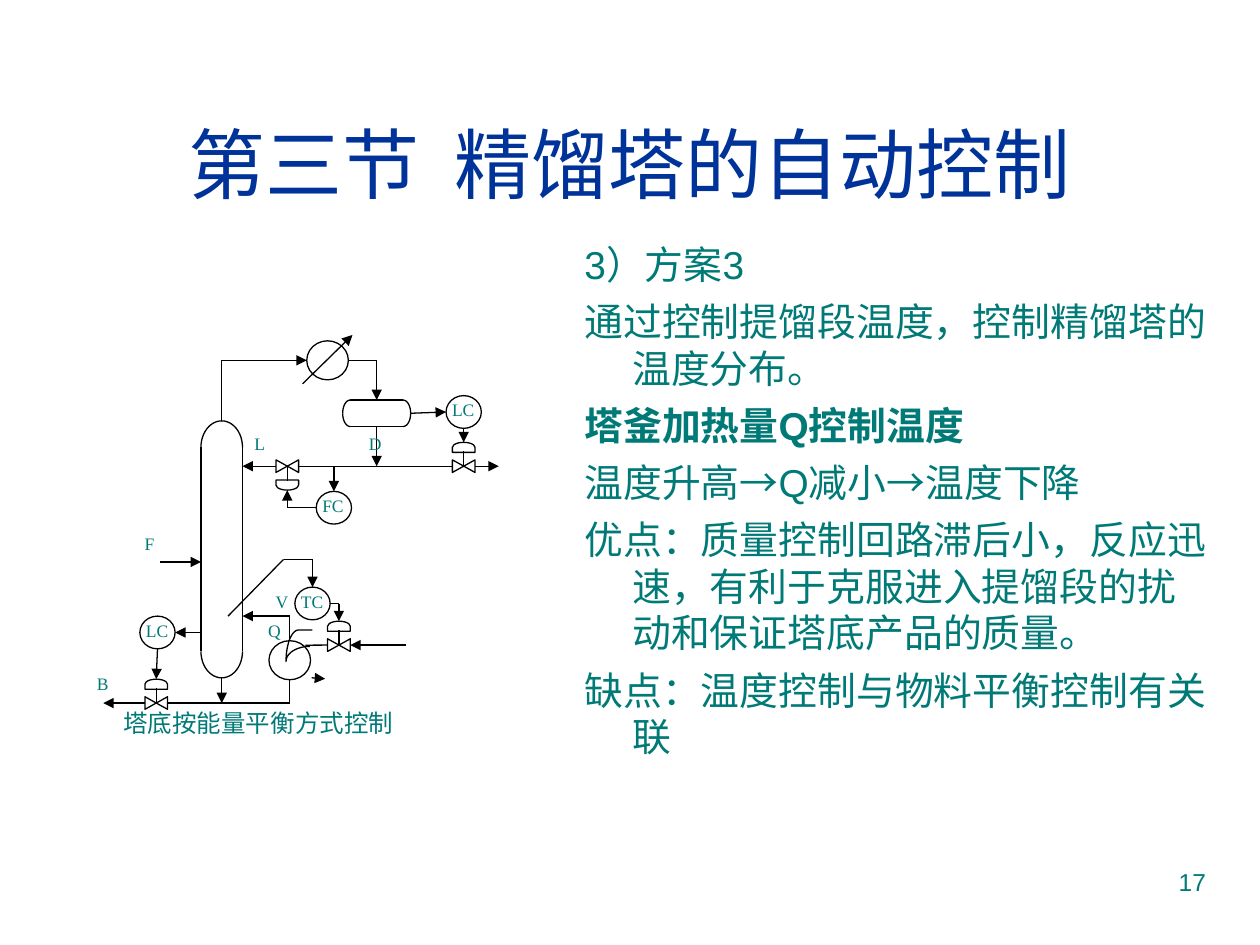
"""Build the slide on distillation column control, scheme 3."""
import dataclasses
import math
import pptx
import pptx.util
import pptx.dml.color
import pptx.enum.shapes
import pptx.enum.text
import pptx.oxml.ns
import lxml.etree

Inches, Pt = pptx.util.Inches, pptx.util.Pt
RGBColor = pptx.dml.color.RGBColor
MSO_SHAPE = pptx.enum.shapes.MSO_SHAPE
PP_ALIGN = pptx.enum.text.PP_ALIGN
qn = pptx.oxml.ns.qn

NAVY = RGBColor(0x00, 0x33, 0x99)
TEAL = RGBColor(0x00, 0x7A, 0x77)
BLACK = RGBColor(0, 0, 0)
WHITE = RGBColor(255, 255, 255)
SERIF = "Times New Roman"


@dataclasses.dataclass
class Box:
    """A part of the plant, placed by its centre."""
    cx: float
    cy: float
    w: float
    h: float

    def at(self, dx, dy):
        return self.cx + dx * self.w / 2, self.cy + dy * self.h / 2

    left = property(lambda self: self.at(-1, 0))
    right = property(lambda self: self.at(1, 0))
    top = property(lambda self: self.at(0, -1))
    bottom = property(lambda self: self.at(0, 1))


TITLE = "第三节  精馏塔的自动控制"
BODY = [
    ("3）方案3", False),
    ("通过控制提馏段温度，控制精馏塔的温度分布。", False),
    ("塔釜加热量Q控制温度", True),
    ("温度升高→Q减小→温度下降", False),
    ("优点：质量控制回路滞后小，反应迅速，有利于克服进入提馏段的扰动和保证塔底产品的质量。", False),
    ("缺点：温度控制与物料平衡控制有关联", False),
]
CAPTION = "塔底按能量平衡方式控制"
STREAMS = [("F", 1.05, 4.18), ("L", 1.92, 3.39), ("D", 2.83, 3.39),
           ("B", 0.67, 5.29), ("Q", 2.03, 4.87), ("V", 2.09, 4.64)]

UP, DOWN = -1, 1
FEED_Y, REFLUX_Y, VAPOUR_Y, BOTTOMS_Y, TAP_Y = 4.46, 3.7, 4.89, 5.58, 4.44
COLUMN = Box(1.76, 4.36, 0.33, 2.04)
DRUM = Box(2.99, 3.28, 0.54, 0.21)
CONDENSER = Box(2.6, 2.86, 0.33, 0.31)
REBOILER = Box(2.3, 5.24, 0.33, 0.31)
DRUM_LC, REFLUX_FC, TRAY_TC, SUMP_LC = [
    Box(cx, cy, 0.28, 0.26)
    for cx, cy in [(3.68, 3.27), (2.65, 4.03), (2.48, 4.79), (1.25, 5.02)]]
INSTRUMENTS = [("LC", DRUM_LC), ("FC", REFLUX_FC), ("TC", TRAY_TC), ("LC", SUMP_LC)]
DISTILLATE, REFLUX, STEAM, BOTTOMS = [
    Box(cx, cy, 0.18, 0.1)
    for cx, cy in [(3.68, REFLUX_Y), (2.28, REFLUX_Y), (2.69, 5.12), (1.24, BOTTOMS_Y)]]
VALVES = [(DISTILLATE, UP), (REFLUX, DOWN), (STEAM, UP), (BOTTOMS, UP)]


def actuator(valve, side):
    return Box(valve.cx, valve.cy + side * 0.15, 0.18, 0.08)


FLOWS = [
    [COLUMN.top, (COLUMN.cx, CONDENSER.cy), CONDENSER.left],
    [CONDENSER.right, (DRUM.cx, CONDENSER.cy), DRUM.top],
    [CONDENSER.at(-1.2, 1.2), CONDENSER.at(1.2, -1.3)],
    [DRUM.bottom, (DRUM.cx, REFLUX_Y)],
    [REFLUX.left, (COLUMN.right[0], REFLUX_Y)],
    [DISTILLATE.right, DISTILLATE.at(3.1, 0)],
    [(1.27, FEED_Y), (COLUMN.left[0], FEED_Y)],
    [COLUMN.bottom, (COLUMN.cx, BOTTOMS_Y)],
    [BOTTOMS.left, (0.82, BOTTOMS_Y)],
    [REBOILER.top, (REBOILER.cx, VAPOUR_Y), (COLUMN.right[0], VAPOUR_Y)],
    [STEAM.at(5.9, 0), STEAM.right],
    [REBOILER.at(1.05, 0.9), REBOILER.at(1.7, 0.95)],
]
SIGNALS = [
    [DRUM.right, DRUM_LC.left],
    [DRUM_LC.bottom, actuator(DISTILLATE, UP).top],
    [(REFLUX_FC.cx, REFLUX_Y), REFLUX_FC.top],
    [REFLUX_FC.left, (REFLUX.cx, REFLUX_FC.cy), actuator(REFLUX, DOWN).bottom],
    [(1.81, VAPOUR_Y), (2.25, TAP_Y), (TRAY_TC.cx, TAP_Y), TRAY_TC.top],
    [TRAY_TC.right, (STEAM.cx, TRAY_TC.cy), actuator(STEAM, UP).top],
    [(COLUMN.left[0], SUMP_LC.cy), SUMP_LC.right],
    [SUMP_LC.bottom, actuator(BOTTOMS, UP).top],
]
PLAIN_PIPES = [
    [REFLUX.right, DISTILLATE.left],
    [REBOILER.bottom, (REBOILER.cx, BOTTOMS_Y), BOTTOMS.right],
    [STEAM.left, REBOILER.at(0.75, -0.77)],
]


def add_run(p, text, size, font="Arial", color=TEAL, bold=False):
    r = p.add_run()
    r.text = text
    r.font.size, r.font.name, r.font.bold = Pt(size), font, bold
    r.font.color.rgb = color


def add_box(s, x, y, w, h):
    tf = s.shapes.add_textbox(Inches(x), Inches(y), Inches(w), Inches(h)).text_frame
    tf.word_wrap = True
    return tf


def add_text(s, text, x, y, w=0.5, h=0.34, size=10, font=SERIF, align=PP_ALIGN.JUSTIFY):
    p = add_box(s, x, y, w, h).paragraphs[0]
    p.alignment = align
    add_run(p, text, size, font)


def outline(sp):
    sp.shadow.inherit = False
    sp.line.color.rgb, sp.line.width = BLACK, Pt(0.75)


def add_part(s, kind, box, turn=0):
    w, h = (box.h, box.w) if turn else (box.w, box.h)
    sp = s.shapes.add_shape(kind, Inches(box.cx - w / 2), Inches(box.cy - h / 2),
                            Inches(w), Inches(h))
    sp.rotation = turn
    sp.fill.solid()
    sp.fill.fore_color.rgb = WHITE
    outline(sp)


def add_route(s, points, arrow=True):
    for start, end in zip(points, points[1:]):
        c = s.shapes.add_connector(pptx.enum.shapes.MSO_CONNECTOR.STRAIGHT,
                                   *[Inches(v) for v in start + end])
        c.line.color.rgb, c.line.width = BLACK, Pt(0.75)
        lxml.etree.SubElement(c._element.spPr, qn("a:effectLst"))
    if arrow:
        lxml.etree.SubElement(c.line._get_or_add_ln(), qn("a:tailEnd"), type="triangle")


def add_valve(s, valve, side):
    add_part(s, MSO_SHAPE.FLOWCHART_COLLATE, valve, 90)
    add_part(s, MSO_SHAPE.FLOWCHART_DELAY, actuator(valve, side), side * 90 % 360)
    add_route(s, [(valve.cx, valve.cy), (valve.cx, valve.cy + side * 0.12)], arrow=False)


def arc(cx, cy, rx, ry, start, end, steps=12):
    angles = [math.radians(start + (end - start) * i / steps) for i in range(steps + 1)]
    return [(cx + rx * math.cos(a), cy + ry * math.sin(a)) for a in angles]


def add_curve(s, points):
    first, *rest = [(Inches(x), Inches(y)) for x, y in points]
    fb = s.shapes.build_freeform(*first)
    fb.add_line_segments(rest, close=False)
    sp = fb.convert_to_shape()
    sp.fill.background()
    outline(sp)


def add_vessel(s, box, rx, ry):
    for sx, sy, start in [(1, 1, 0), (-1, 1, 90), (-1, -1, 180), (1, -1, 270)]:
        x, y = box.at(sx, sy)
        add_curve(s, arc(x - sx * rx, y - sy * ry, rx, ry, start, start + 90))
    for side in (-1, 1):
        if box.h > box.w:
            x = box.at(side, 0)[0]
            wall = [(x, box.top[1] + ry), (x, box.bottom[1] - ry)]
        else:
            y = box.at(0, side)[1]
            wall = [(box.left[0] + rx, y), (box.right[0] - rx, y)]
        add_route(s, wall, arrow=False)


def add_coil(s):
    x, y = REBOILER.cx - 0.03, REBOILER.cy + 0.01
    inlet = arc(x + 0.19, y, 0.19, 0.12, 270, 180)
    outlet = arc(x + 0.1, y, 0.1, 0.25, 180, 270)
    add_curve(s, inlet + outlet + [(x + 0.21, y - 0.25)])


def add_diagram(s):
    add_vessel(s, COLUMN, COLUMN.w / 2, 0.21)
    add_vessel(s, DRUM, 0.06, DRUM.h / 2)
    for box in [CONDENSER, REBOILER] + [box for _, box in INSTRUMENTS]:
        add_part(s, MSO_SHAPE.OVAL, box)
    add_coil(s)
    for valve, side in VALVES:
        add_valve(s, valve, side)
    for points in PLAIN_PIPES:
        add_route(s, points, arrow=False)
    for points in FLOWS + SIGNALS:
        add_route(s, points)
    for text, box in INSTRUMENTS:
        add_text(s, text, box.cx - 0.19, box.cy - 0.15)
    for stream in STREAMS:
        add_text(s, *stream)
    add_text(s, CAPTION, 0.88, 5.57, w=2.68, size=14)


def add_body(s):
    tf = add_box(s, 4.54, 1.86, 5.13, 4.59)
    for i, (text, bold) in enumerate(BODY):
        p = tf.add_paragraph() if i else tf.paragraphs[0]
        pPr = p._p.get_or_add_pPr()
        pPr.set("marL", str(Inches(0.38)))
        pPr.set("indent", str(-Inches(0.38)))
        p.space_before = Pt(6 if i else 0)
        add_run(p, text, 22.2, bold=bold)


def main():
    prs = pptx.Presentation()
    prs.slide_width, prs.slide_height = Inches(10), Inches(7.5)
    s = prs.slides.add_slide(prs.slide_layouts[5])
    title = s.shapes.title
    title.left, title.top = Inches(0.33), Inches(0.67)
    title.width, title.height = Inches(9.34), Inches(1.25)
    tf = title.text_frame
    tf.vertical_anchor = pptx.enum.text.MSO_ANCHOR.MIDDLE
    tf.paragraphs[0].alignment = PP_ALIGN.CENTER
    add_run(tf.paragraphs[0], TITLE, 44, color=NAVY)
    add_diagram(s)
    add_body(s)
    add_text(s, "17", 7.17, 6.83, 2.5, 0.52, 14, "Arial", PP_ALIGN.RIGHT)
    prs.save("out.pptx")


if __name__ == "__main__":
    main()
